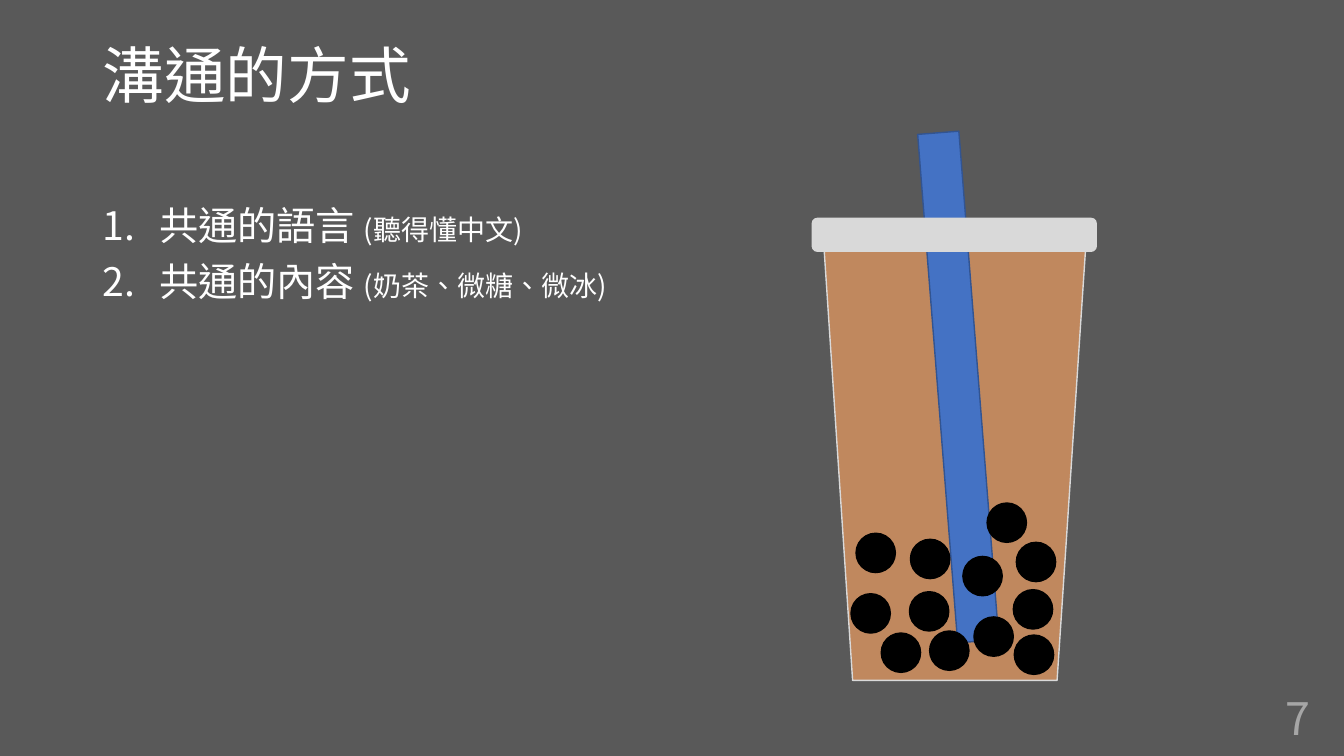
from lxml import etree
from pptx import Presentation
from pptx.dml.color import RGBColor
from pptx.enum.shapes import MSO_SHAPE
from pptx.enum.text import MSO_ANCHOR, PP_ALIGN
from pptx.oxml.ns import qn
from pptx.util import Inches, Pt

TRAPEZOID = MSO_SHAPE.TRAPEZOID
RECTANGLE = MSO_SHAPE.RECTANGLE
ROUNDED = MSO_SHAPE.ROUNDED_RECTANGLE
OVAL = MSO_SHAPE.OVAL
TOP, MIDDLE = MSO_ANCHOR.TOP, MSO_ANCHOR.MIDDLE
LEFT, RIGHT = PP_ALIGN.LEFT, PP_ALIGN.RIGHT

FONT = "Noto Sans CJK SC"
COLORS = {
    "background": "595959",
    "text": "FFFFFF",
    "number": "A6A6A6",
    "tea": "C0885E",
    "lid": "D9D9D9",
    "straw": "4472C4",
    "straw_edge": "325491",
    "pearl": "000000",
}
WIDTH, HEIGHT = 13.33, 7.5
MARGIN = 0.92
CONTENT_WIDTH = WIDTH - 2 * MARGIN
PEARL_SIZE = 0.39
PEARLS = [
    (2.01, 4.14), (1.61, 3.96), (2.00, 3.69), (1.50, 3.36),
    (0.97, 3.71), (1.17, 4.10), (0.39, 3.73), (0.69, 4.12),
    (1.74, 2.83), (2.03, 3.22), (0.98, 3.19), (0.44, 3.13),
]
WAYS = [("共通的語言 ", "(聽得懂中文)"), ("共通的內容 ", "(奶茶、微糖、微冰)")]


def color(name):
    return RGBColor.from_string(COLORS[name])


def add_run(paragraph, text, size, color_name):
    run = paragraph.add_run()
    run.text = text
    for name, value in {"name": FONT, "size": Pt(size)}.items():
        setattr(run.font, name, value)
    run.font.color.rgb = color(color_name)
    properties = run.font._element
    properties.set("lang", "zh-TW")
    etree.SubElement(properties, qn("a:ea")).set("typeface", FONT)


def add_text_frame(slide, box, anchor):
    frame = slide.shapes.add_textbox(*map(Inches, box)).text_frame
    for name, value in {"word_wrap": True, "vertical_anchor": anchor}.items():
        setattr(frame, name, value)
    return frame


def add_line(slide, box, text, size, color_name, anchor=TOP, alignment=LEFT):
    paragraph = add_text_frame(slide, box, anchor).paragraphs[0]
    for name, value in {"alignment": alignment, "line_spacing": 0.9}.items():
        setattr(paragraph, name, value)
    add_run(paragraph, text, size, color_name)


def add_numbered_list(slide, box, items):
    frame = add_text_frame(slide, box, TOP)
    for index, (topic, example) in enumerate(items):
        paragraph = frame.add_paragraph() if index else frame.paragraphs[0]
        for name, value in {"line_spacing": 0.9, "space_before": Pt(10)}.items():
            setattr(paragraph, name, value)
        properties = paragraph._p.get_or_add_pPr()
        properties.set("marL", str(Inches(0.56)))
        properties.set("indent", str(-Inches(0.56)))
        etree.SubElement(properties, qn("a:buFont")).set("typeface", FONT)
        etree.SubElement(properties, qn("a:buAutoNum")).set("type", "arabicPeriod")
        add_run(paragraph, topic, 28, "text")
        add_run(paragraph, example, 20, "text")


def add_part(group, preset, box, fill, edge=None, rotation=0):
    shape = group.shapes.add_shape(preset, *map(Inches, box))
    shape.shadow.inherit = False
    shape.rotation = rotation
    shape.fill.solid()
    shape.fill.fore_color.rgb = color(fill)
    if edge:
        shape.line.color.rgb = color(edge)
        shape.line.width = Pt(1)
    else:
        shape.line.fill.background()
    return shape


def add_bubble_tea(slide, box):
    left, top, width, height = box
    lid_top = top + 0.85
    cup_top = lid_top + 0.26
    group = slide.shapes.add_group_shape()
    cup_box = (left + 0.12, cup_top, width - 0.23, top + height - cup_top)
    cup = add_part(group, TRAPEZOID, cup_box, "tea", "lid", 180)
    cup.adjustments[0] = 0.11
    straw_box = (left + 1.25, top, 0.41, 5.06)
    add_part(group, RECTANGLE, straw_box, "straw", "straw_edge", 355.5)
    add_part(group, ROUNDED, (left, lid_top, width, 0.34), "lid")
    for across, down in PEARLS:
        pearl_box = (left + across, lid_top + down, PEARL_SIZE, PEARL_SIZE)
        add_part(group, OVAL, pearl_box, "pearl", "pearl")


def build_slide(presentation):
    slide = presentation.slides.add_slide(presentation.slide_layouts[6])
    slide.background.fill.solid()
    slide.background.fill.fore_color.rgb = color("background")
    add_numbered_list(slide, (MARGIN, 2, CONTENT_WIDTH, 4.76), WAYS)
    add_line(slide, (MARGIN, 0.4, CONTENT_WIDTH, 1.45), "溝通的方式", 44, "text")
    add_bubble_tea(slide, (8.05, 1.31, 2.83, 5.44))
    add_line(slide, (10.09, 6.95, 3, 0.4), "7", 32, "number", MIDDLE, RIGHT)


def main():
    presentation = Presentation()
    presentation.slide_width = Inches(WIDTH)
    presentation.slide_height = Inches(HEIGHT)
    build_slide(presentation)
    presentation.save("out.pptx")


if __name__ == "__main__":
    main()
